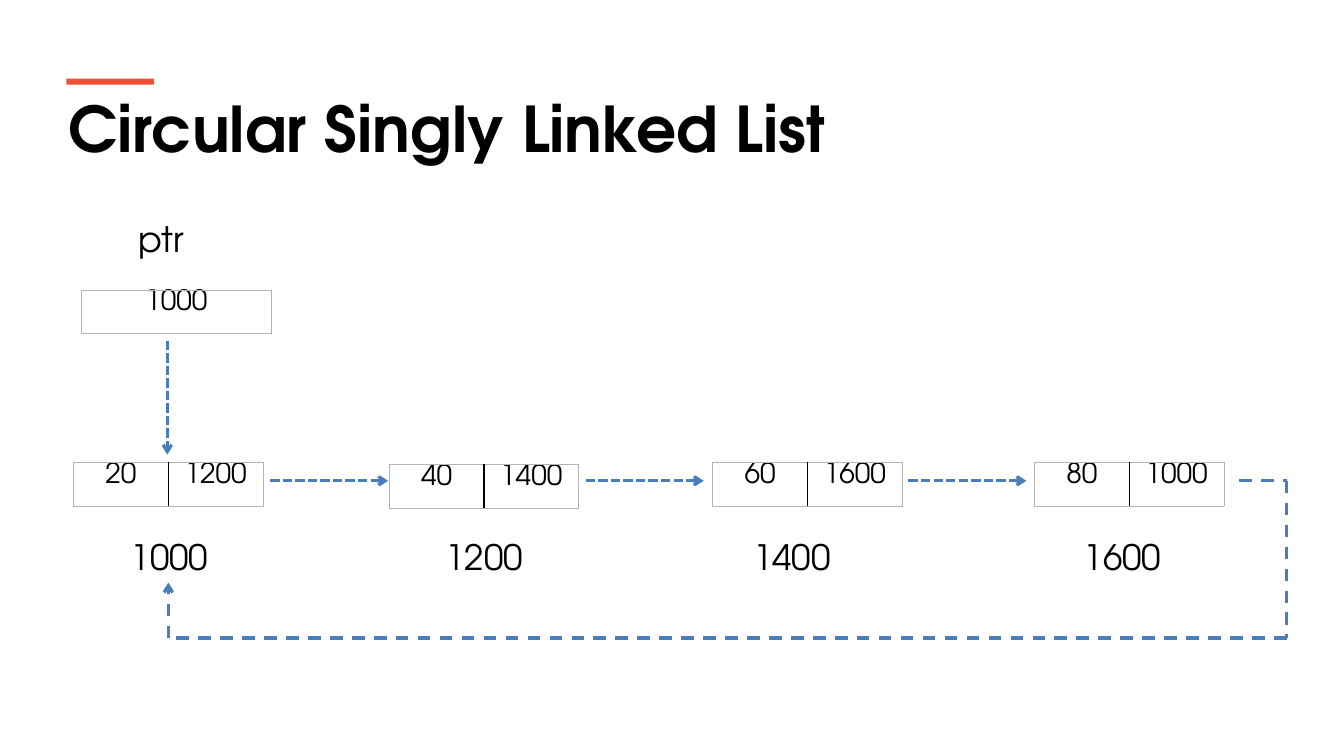
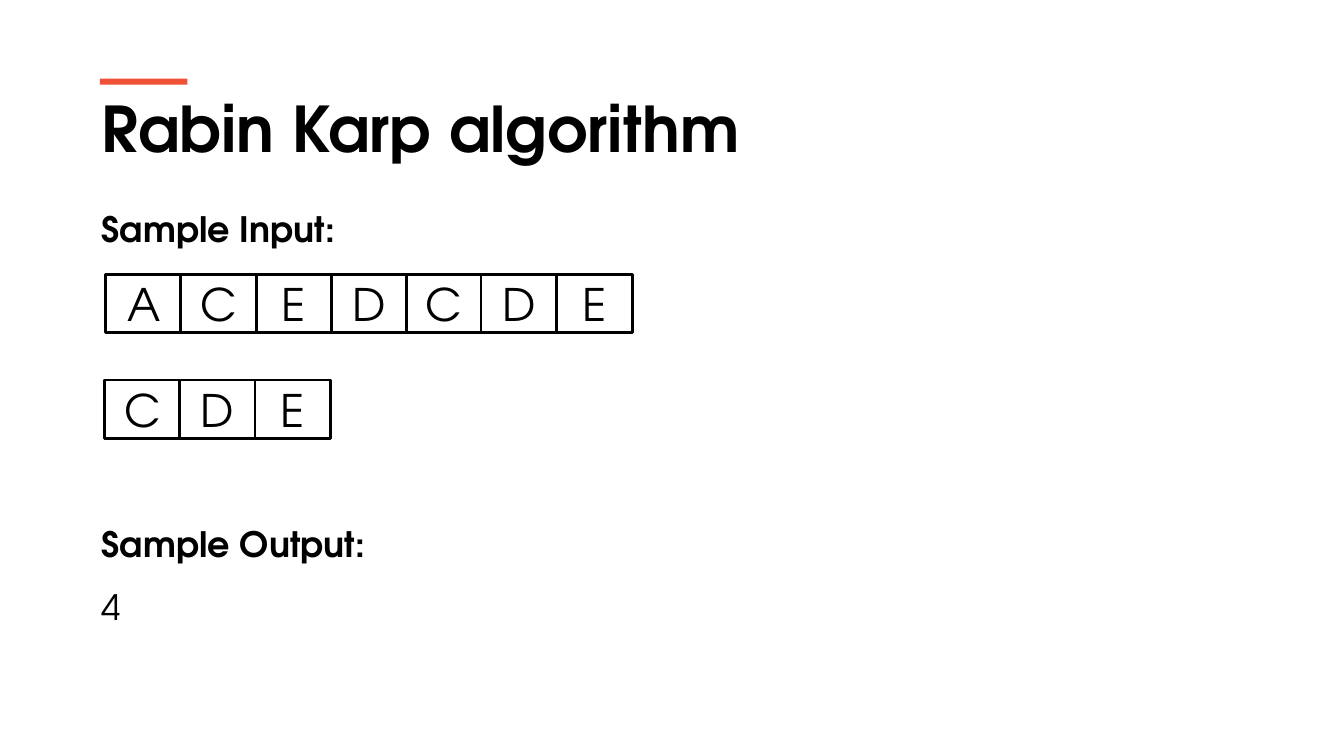
import lxml.etree
import pptx
import pptx.dml.color
import pptx.enum.dml
import pptx.enum.shapes
import pptx.enum.text
import pptx.oxml.ns
import pptx.util

PX = 9144  # EMU per px, 100 px to the inch
FONT = "TeX Gyre Adventor"
COLOURS = {
    "text": "000000",
    "paper": "FFFFFF",
    "accent": "F05136",
    "arrow": "4A7EBB",
    "frame": "B4B4B4",
}
DASH = pptx.enum.dml.MSO_LINE.DASH
SHORT_DASH = pptx.enum.dml.MSO_LINE.SQUARE_DOT
CENTRE = pptx.enum.text.PP_ALIGN.CENTER
LEFT = pptx.enum.text.PP_ALIGN.LEFT
TOP = pptx.enum.text.MSO_ANCHOR.TOP
MIDDLE = pptx.enum.text.MSO_ANCHOR.MIDDLE


def px(*lengths):
    return [pptx.util.Emu(length * PX) for length in lengths]


def colour(name):
    return pptx.dml.color.RGBColor.from_string(COLOURS[name])


def add_xml(parent, tag, **attributes):
    return lxml.etree.SubElement(parent, pptx.oxml.ns.qn(tag), attributes)


class SlideMaker:
    TITLE_ONLY, TITLE_AND_BODY = 5, 1

    def __init__(self):
        self.deck = pptx.Presentation()
        self.deck.slide_width, self.deck.slide_height = px(1333, 750)
        self.page = None

    def new_slide(self, layout, title, left, width):
        """Start a slide with its accent bar and title."""
        self.page = self.deck.slides.add_slide(self.deck.slide_layouts[layout])
        heading = self.page.shapes.title
        self.place(heading, left, 84, width, 86)
        heading.text_frame.text = title
        self.format_para(heading.text_frame.paragraphs[0], 45, bold=True)
        self.rectangle(left + 8, 78, 87, 6, "accent")

    def place(self, box, left, top, width, height):
        box.left, box.top, box.width, box.height = px(left, top, width, height)
        box.text_frame.word_wrap = True
        box.text_frame.auto_size = pptx.enum.text.MSO_AUTO_SIZE.NONE
        box.text_frame.vertical_anchor = TOP

    def format_para(self, para, size, bold=False, align=LEFT):
        para.alignment = align
        for span in para.runs:
            span.font.name = FONT
            span.font.size = pptx.util.Pt(size)
            span.font.bold = bold
            span.font.color.rgb = colour("text")

    def rectangle(self, left, top, width, height, fill):
        box = self.page.shapes.add_shape(
            pptx.enum.shapes.MSO_SHAPE.RECTANGLE, *px(left, top, width, height))
        box.shadow.inherit = False
        box.fill.solid()
        box.fill.fore_color.rgb = colour(fill)
        box.line.fill.background()
        return box

    def letter_row(self, left, top, letters):
        """Draw one framed square per letter, side by side."""
        for index, letter in enumerate(letters):
            box = self.rectangle(left + round(74.5 * index), top, 75, 58, "paper")
            box.line.color.rgb = colour("text")
            box.line.width = pptx.util.Pt(2)
            box.text_frame.text = letter
            box.text_frame.vertical_anchor = MIDDLE
            self.format_para(box.text_frame.paragraphs[0], 32, align=CENTRE)

    def label(self, left, top, width, text):
        box = self.page.shapes.add_textbox(*px(left, top, width, 52))
        self.place(box, left, top, width, 52)
        box.text_frame.text = text
        self.format_para(box.text_frame.paragraphs[0], 25)

    def body(self, left, top, width, height, lines):
        """Fill the body placeholder from (text, bold, space before) rows."""
        box = self.page.placeholders[1]
        self.place(box, left, top, width, height)
        box.text_frame.text = "\n".join(text for text, _, _ in lines)
        for para, (_, bold, gap) in zip(box.text_frame.paragraphs, lines):
            properties = para._p.get_or_add_pPr()
            properties.set("marL", "0")
            properties.set("indent", "0")
            add_xml(properties, "a:buNone")
            para.line_spacing = 1.5
            para.space_before = pptx.util.Pt(gap)
            self.format_para(para, 25, bold)

    def border(self, cell, side, name, width):
        line = add_xml(cell._tc.get_or_add_tcPr(), "a:ln" + side,
                       w=str(pptx.util.Pt(width)))
        fill = add_xml(line, "a:solidFill")
        add_xml(fill, "a:srgbClr", val=COLOURS[name])

    def node(self, left, top, values):
        """Draw a list node as a one-row table."""
        count = len(values)
        table = self.page.shapes.add_table(
            1, count, *px(left, top, 188, 43)).table
        table.first_row = table.horz_banding = False
        for index, value in enumerate(values):
            cell = table.cell(0, index)
            cell.text_frame.text = value
            cell.margin_top = 0
            self.format_para(cell.text_frame.paragraphs[0], 20, align=CENTRE)
            outer, inner = ("frame", 0.75), ("text", 1)
            self.border(cell, "L", *(inner if index else outer))
            self.border(cell, "R", *(inner if index < count - 1 else outer))
            self.border(cell, "T", *outer)
            self.border(cell, "B", *outer)
            cell.fill.background()

    def line(self, start, end, dash, arrow=True):
        connector = self.page.shapes.add_connector(
            pptx.enum.shapes.MSO_CONNECTOR.STRAIGHT, *px(*start, *end))
        connector.line.color.rgb = colour("arrow")
        connector.line.width = pptx.util.Pt(2.25)
        connector.line.dash_style = dash
        properties = connector._element.spPr
        if arrow:
            add_xml(properties.find(pptx.oxml.ns.qn("a:ln")), "a:tailEnd", type="arrow")
        add_xml(properties, "a:effectLst")


def linked_list_slide(maker):
    maker.new_slide(maker.TITLE_ONLY, "Circular Singly Linked List", 58, 1218)

    # Head pointer
    maker.label(128, 211, 70, "ptr")
    maker.node(81, 288, ["1000"])
    maker.line((166, 338), (166, 451), SHORT_DASH)

    # Nodes with their addresses: left, top, values, label left, address
    nodes = [
        (73, 459, ["20", "1200"], 120, "1000"),
        (386, 461, ["40", "1400"], 432, "1200"),
        (707, 459, ["60", "1600"], 737, "1400"),
        (1026, 459, ["80", "1000"], 1065, "1600"),
    ]
    for left, top, values, label_left, address in nodes:
        maker.node(left, top, values)
        maker.label(label_left, 526, 125, address)

    # Links to the next node
    for left in (268, 581, 901):
        maker.line((left, 477), (left + 117, 477), SHORT_DASH)

    # Way back to the first node
    corners = [(1229, 477), (1276, 477), (1276, 633), (167, 633), (167, 578)]
    for start, end in zip(corners, corners[1:]):
        maker.line(start, end, DASH, arrow=end == corners[-1])


def rabin_karp_slide(maker):
    maker.new_slide(maker.TITLE_AND_BODY, "Rabin Karp algorithm", 91, 1234)
    maker.body(91, 180, 1201, 510, [
        ("Sample Input:", True, 0),
        ("Sample Output:", True, 180),
        ("4", False, 0),
    ])

    # Text and pattern
    maker.letter_row(105, 272, "ACEDCDE")
    maker.letter_row(104, 377, "CDE")


def main():
    maker = SlideMaker()
    linked_list_slide(maker)
    rabin_karp_slide(maker)
    maker.deck.save("out.pptx")


if __name__ == "__main__":
    main()
